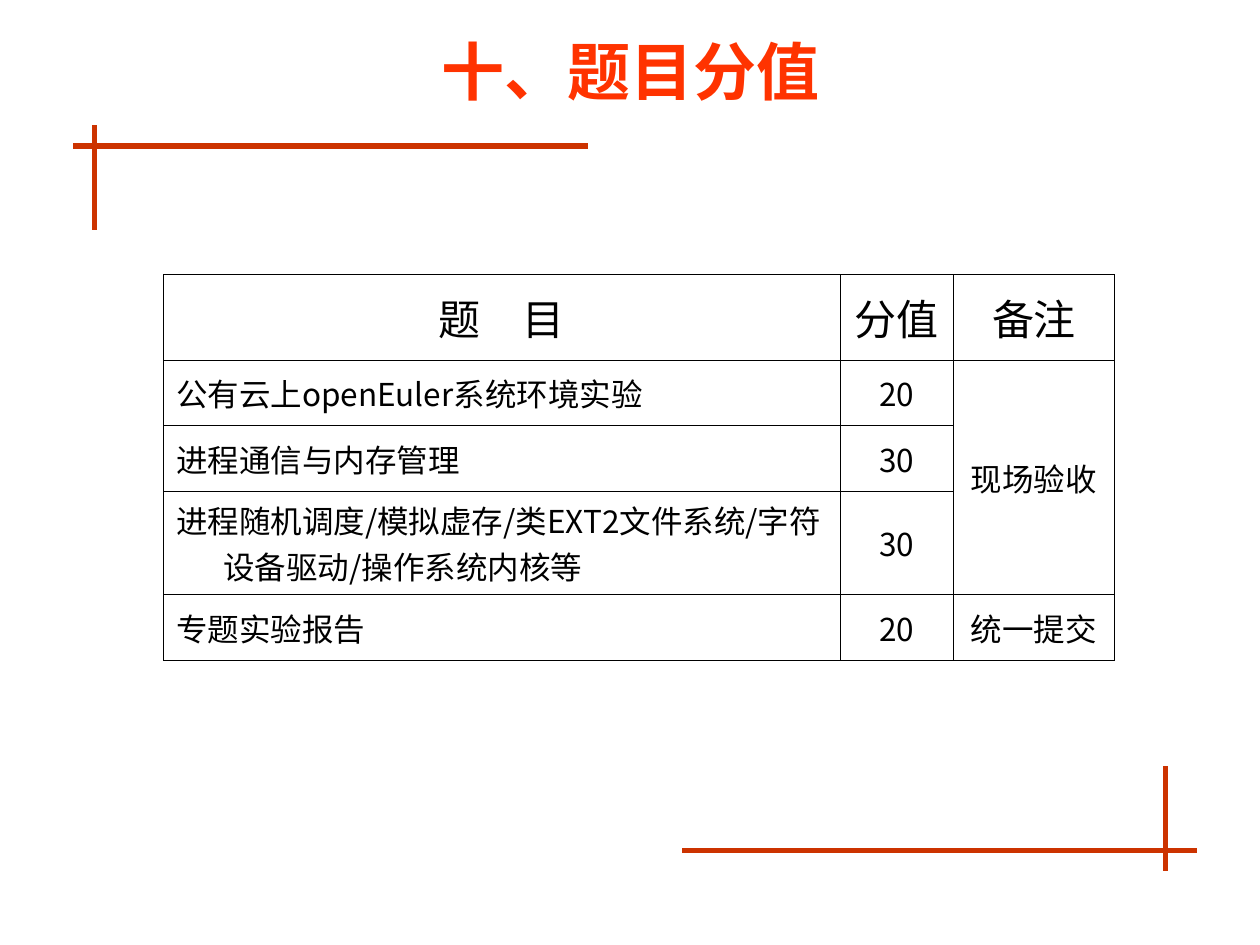
from lxml.etree import SubElement
from pptx import Presentation
from pptx.dml.color import RGBColor
from pptx.enum.shapes import MSO_CONNECTOR
from pptx.enum.text import MSO_ANCHOR, PP_ALIGN
from pptx.oxml import parse_xml
from pptx.oxml.ns import nsdecls, qn
from pptx.util import Pt

TITLE = "十、题目分值"
ROWS = [
    ("题　目", "分值", "备注"),
    ("公有云上openEuler系统环境实验", "20", "现场验收"),
    ("进程通信与内存管理", "30", ""),
    ("进程随机调度/模拟虚存/类EXT2文件系统/字符设备驱动/操作系统内核等", "30", ""),
    ("专题实验报告", "20", "统一提交"),
]
COLUMN_WIDTHS = [386.8, 64.6, 92.2]
ROW_HEIGHTS = [49.2, 37.2, 37.4, 50.6, 37.4]
CORNER_LINES = [
    (42, 83.5, 336, 83.5),
    (390, 486, 684, 486),
    (54, 71.5, 54, 131.5),
    (666, 438, 666, 498),
]
HANGING_INDENT = 27
ACCENT = RGBColor(0xCC, 0x33, 0x00)
TITLE_COLOR = RGBColor(0xFF, 0x33, 0x00)
BLACK = RGBColor(0, 0, 0)
CJK_FONT = "Noto Sans CJK SC"
TITLE_FONT = "Times New Roman"


def format_span(span, font_name, size, color, bold=False):
    """Set the Latin and East Asian fonts, size and colour of a run."""
    span.font.name = font_name
    span.font.size = Pt(size)
    span.font.bold = bold
    span.font.color.rgb = color
    SubElement(span.font._element, qn("a:ea")).set("typeface", CJK_FONT)


def add_title(page):
    """Place and format the title placeholder."""
    title = page.shapes.title
    title.left, title.top, title.width, title.height = Pt(54), Pt(3.6), Pt(612), Pt(73.4)
    frame = title.text_frame
    frame.text = TITLE
    frame.vertical_anchor = MSO_ANCHOR.MIDDLE
    para = frame.paragraphs[0]
    para.alignment = PP_ALIGN.CENTER
    format_span(para.runs[0], TITLE_FONT, 36, TITLE_COLOR, True)


def add_corner_lines(page):
    """Draw the crossed lines in two corners."""
    for ends in CORNER_LINES:
        line = page.shapes.add_connector(MSO_CONNECTOR.STRAIGHT, *map(Pt, ends))
        line.line.color.rgb = ACCENT
        line.line.width = Pt(3)
        SubElement(line._element.spPr, qn("a:effectLst"))


def border_cell(cell):
    """Give a cell thin black borders on all sides."""
    properties = cell._tc.get_or_add_tcPr()
    for index, side in enumerate(("lnL", "lnR", "lnT", "lnB")):
        properties.insert(index, parse_xml(
            f'<a:{side} {nsdecls("a")} w="{Pt(0.45)}"><a:solidFill>'
            f'<a:srgbClr val="{BLACK}"/></a:solidFill></a:{side}>'))


def fill_cell(cell, text, size, alignment):
    """Write and format one table cell."""
    cell.fill.background()
    cell.vertical_anchor = MSO_ANCHOR.MIDDLE
    border_cell(cell)
    cell.text_frame.text = text
    para = cell.text_frame.paragraphs[0]
    para.alignment = alignment
    indents = para._p.get_or_add_pPr()
    indents.set("marL", str(Pt(HANGING_INDENT)))
    indents.set("indent", str(-Pt(HANGING_INDENT)))
    for span in para.runs:
        format_span(span, CJK_FONT, size, BLACK)


def add_score_table(page):
    """Build the table of topics, scores and remarks."""
    frame = page.shapes.add_table(
        len(ROWS), len(COLUMN_WIDTHS), Pt(93.4), Pt(156.8),
        Pt(sum(COLUMN_WIDTHS)), Pt(sum(ROW_HEIGHTS)))
    table = frame.table
    table.first_row = table.horz_banding = False
    for column, width in zip(table.columns, COLUMN_WIDTHS):
        column.width = Pt(width)
    for row, height in zip(table.rows, ROW_HEIGHTS):
        row.height = Pt(height)
    for row_index, texts in enumerate(ROWS):
        for column_index, text in enumerate(texts):
            is_topic = row_index > 0 and column_index == 0
            fill_cell(table.cell(row_index, column_index), text,
                      18 if row_index else 24,
                      PP_ALIGN.LEFT if is_topic else PP_ALIGN.CENTER)
    table.cell(1, 2).merge(table.cell(3, 2))


def main():
    """Build the slide and save it."""
    deck = Presentation()
    deck.slide_width, deck.slide_height = Pt(720), Pt(540)
    page = deck.slides.add_slide(deck.slide_layouts.get_by_name("Title Only"))
    add_corner_lines(page)
    add_title(page)
    add_score_table(page)
    deck.save("out.pptx")


if __name__ == "__main__":
    main()
